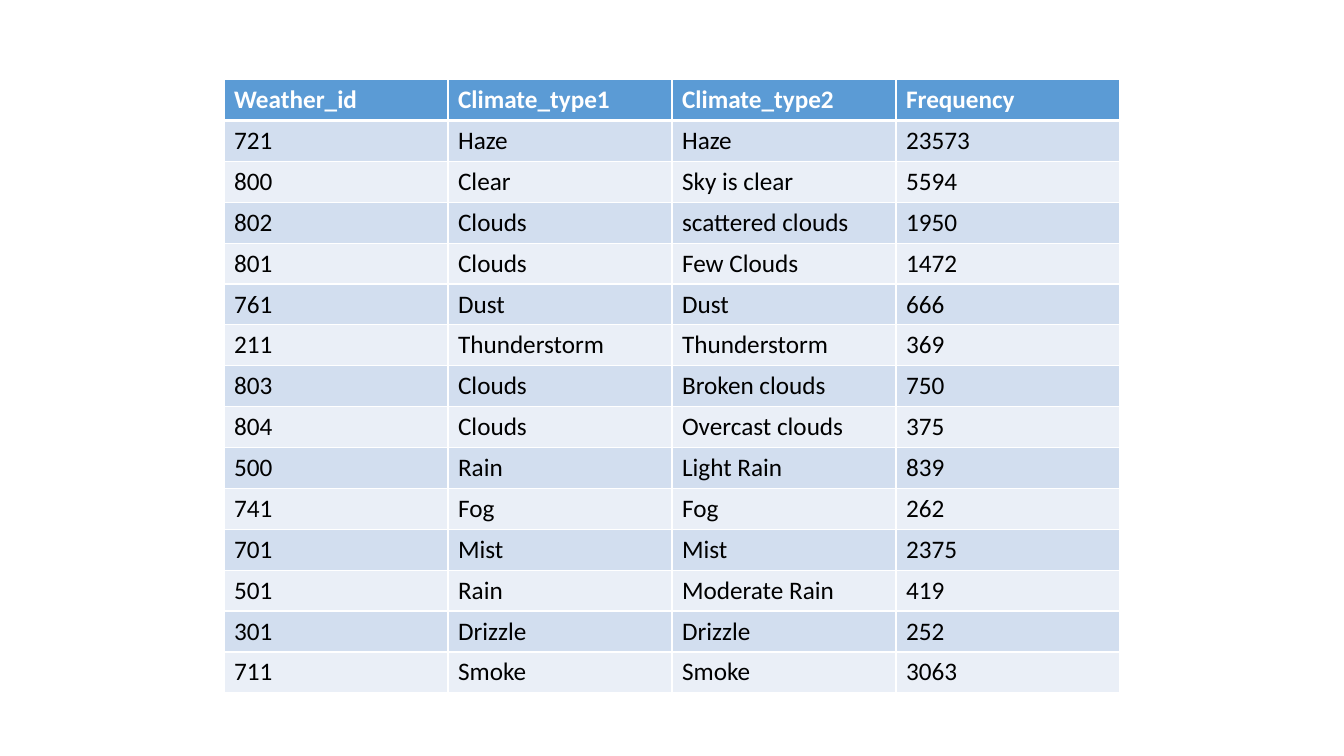
from lxml import etree
from pptx import Presentation
from pptx import util as u
from pptx.dml.color import RGBColor
from pptx.oxml import ns

COLORS = {
    "header": "5B9BD5",
    "odd_row": "D2DEEF",
    "even_row": "EAEFF7",
    "white": "FFFFFF",
    "black": "000000",
}
WEATHER = [
    ("Weather_id", "Climate_type1", "Climate_type2", "Frequency"),
    ("721", "Haze", "Haze", "23573"),
    ("800", "Clear", "Sky is clear", "5594"),
    ("802", "Clouds", "scattered clouds", "1950"),
    ("801", "Clouds", "Few Clouds", "1472"),
    ("761", "Dust", "Dust", "666"),
    ("211", "Thunderstorm", "Thunderstorm", "369"),
    ("803", "Clouds", "Broken clouds", "750"),
    ("804", "Clouds", "Overcast clouds", "375"),
    ("500", "Rain", "Light Rain", "839"),
    ("741", "Fog", "Fog", "262"),
    ("701", "Mist", "Mist", "2375"),
    ("501", "Rain", "Moderate Rain", "419"),
    ("301", "Drizzle", "Drizzle", "252"),
    ("711", "Smoke", "Smoke", "3063"),
]


def write_text(frame, content, size=18, font="Calibri", color="black", bold=False):
    span = frame.paragraphs[0].add_run()
    span.text = content
    span.font.size = u.Pt(size)
    span.font.name = font
    span.font.bold = bold
    span.font.color.rgb = RGBColor.from_string(COLORS[color])


def add_border(cell, side, points):
    """Draw a white line on one side of a cell: L, R, T or B, called in that order."""
    properties = cell._tc.get_or_add_tcPr()
    line = etree.SubElement(properties, ns.qn(f"a:ln{side}"), w=str(u.Pt(points)))
    fill = etree.SubElement(line, ns.qn("a:solidFill"))
    etree.SubElement(fill, ns.qn("a:srgbClr"), val=COLORS["white"])


deck = Presentation()
deck.slide_width, deck.slide_height = u.Inches(13.33), u.Inches(7.5)
page = deck.slides.add_slide(deck.slide_layouts[6])

# The table is centred and takes two thirds of the slide's width.
rows, columns = len(WEATHER), len(WEATHER[0])
table = page.shapes.add_table(
    rows, columns,
    deck.slide_width // 6, u.Inches(0.79),
    deck.slide_width * 2 // 3, u.Inches(6.08),
).table

for row, record in enumerate(WEATHER):
    is_header = row == 0
    band = "header" if is_header else "odd_row" if row % 2 else "even_row"
    borders = {"L": 1, "R": 1, "T": 3 if row == 1 else 1, "B": 3 if is_header else 1}
    for column, content in enumerate(record):
        cell = table.cell(row, column)
        for side, points in borders.items():
            add_border(cell, side, points)
        cell.fill.solid()
        cell.fill.fore_color.rgb = RGBColor.from_string(COLORS[band])
        write_text(cell.text_frame, content, bold=is_header,
                   color="white" if is_header else "black")

deck.save("out.pptx")
